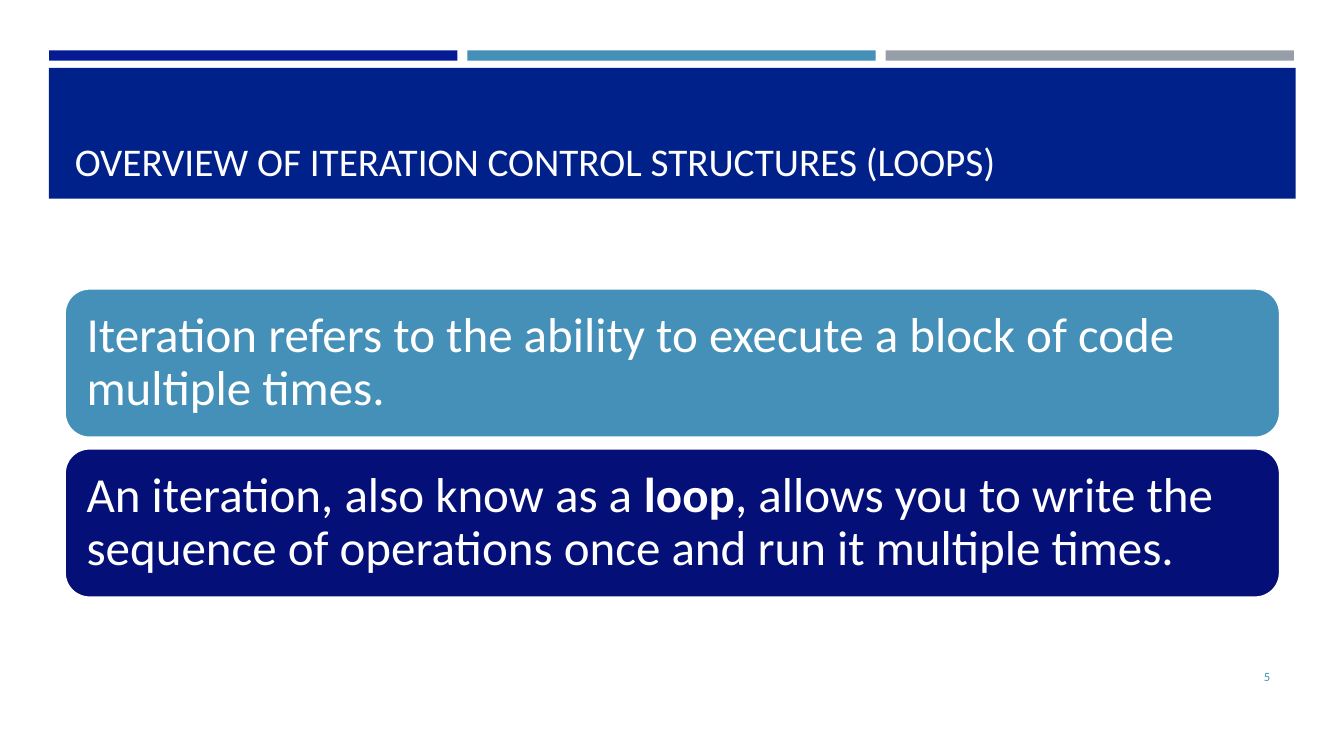
import dataclasses

import pptx
import pptx.dml.color
import pptx.enum.shapes
import pptx.enum.text
import pptx.util

Cm = pptx.util.Cm
Pt = pptx.util.Pt
Shape = pptx.enum.shapes.MSO_SHAPE
Anchor = pptx.enum.text.MSO_ANCHOR
Align = pptx.enum.text.PP_ALIGN


@dataclasses.dataclass(frozen=True)
class Theme:
    font: str = "Calibri"
    white: str = "FFFFFF"
    title_text: str = "FFFEFF"
    indigo: str = "051B94"
    sky: str = "4590B8"
    grey: str = "969FA7"
    banner: str = "00218A"
    navy: str = "041077"
    title_size: int = 28
    card_size: int = 35
    number_size: int = 9


class SlideBuilder:
    def __init__(self, deck, theme):
        self.theme = theme
        self.slide = deck.slides.add_slide(deck.slide_layouts[5])

    def format_run(self, run, size, color, bold=False):
        run.font.name = self.theme.font
        run.font.size = Pt(size)
        run.font.bold = bold
        run.font.color.rgb = pptx.dml.color.RGBColor.from_string(color)

    def block(self, left, top, width, height, color, kind=Shape.RECTANGLE):
        box = self.slide.shapes.add_shape(kind, Cm(left), Cm(top), Cm(width), Cm(height))
        box.shadow.inherit = False
        box.fill.solid()
        box.fill.fore_color.rgb = pptx.dml.color.RGBColor.from_string(color)
        box.line.fill.background()
        return box

    def title(self, text, left, top, width, height):
        title = self.slide.shapes.title
        self.slide.shapes._spTree.append(title._element)
        title.left, title.top = Cm(left), Cm(top)
        title.width, title.height = Cm(width), Cm(height)
        frame = title.text_frame
        frame.text = text
        frame.vertical_anchor = Anchor.BOTTOM
        para = frame.paragraphs[0]
        para.alignment = Align.LEFT
        self.format_run(para.runs[0], self.theme.title_size, self.theme.title_text)

    def card(self, spans, left, top, width, height, color):
        box = self.block(left, top, width, height, color, Shape.ROUNDED_RECTANGLE)
        box.line.color.rgb = pptx.dml.color.RGBColor.from_string(self.theme.white)
        box.line.width = Pt(1.75)
        frame = box.text_frame
        frame.word_wrap = True
        frame.vertical_anchor = Anchor.MIDDLE
        frame.margin_left = frame.margin_right = Cm(0.37)
        frame.margin_top = frame.margin_bottom = Cm(0.37)
        para = frame.paragraphs[0]
        para.alignment = Align.LEFT
        para.line_spacing = 0.9
        for text, bold in spans:
            span = para.add_run()
            span.text = text
            self.format_run(span, self.theme.card_size, self.theme.white, bold)

    def number(self, text, left, top, width, height):
        box = self.slide.shapes.add_textbox(Cm(left), Cm(top), Cm(width), Cm(height))
        frame = box.text_frame
        frame.word_wrap = True
        frame.vertical_anchor = Anchor.MIDDLE
        frame.text = text
        para = frame.paragraphs[0]
        para.alignment = Align.RIGHT
        self.format_run(para.runs[0], self.theme.number_size, self.theme.sky)


def main():
    deck = pptx.Presentation()
    deck.slide_width, deck.slide_height = Cm(33.87), Cm(19.05)
    theme = Theme()
    page = SlideBuilder(deck, theme)

    for index, color in enumerate((theme.indigo, theme.sky, theme.grey)):
        page.block(1.24 + index * 10.54, 1.27, 10.29, 0.26, color)
    page.block(1.23, 1.71, 31.42, 3.3, theme.banner)
    page.title("OVERVIEW OF ITERATION CONTROL STRUCTURES (LOOPS)", 1.63, 1.96, 30.63, 2.82)
    page.number("5", 29.34, 16.54, 2.92, 1.02)

    cards = (
        (theme.sky, [
            ("Iteration refers to the ability to execute a block of code multiple times.", False),
        ]),
        (theme.navy, [
            ("An iteration, also know as a ", False),
            ("loop", True),
            (", allows you to write the sequence of operations once and run it multiple times.", False),
        ]),
    )
    for index, (color, spans) in enumerate(cards):
        page.card(spans, 1.63, 7.27 + index * 4.03, 30.63, 3.76, color)

    deck.save("out.pptx")


if __name__ == "__main__":
    main()
